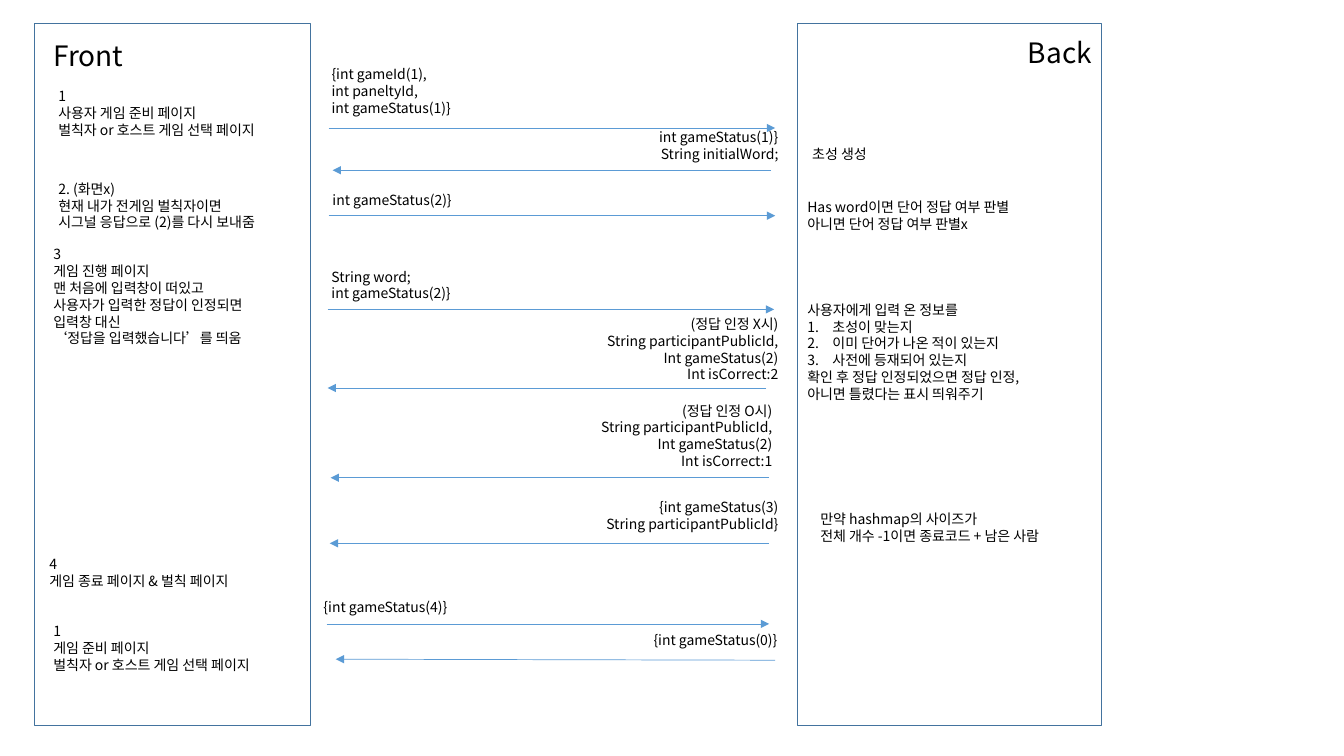
"""Build the slide showing the message flow between Front and Back in a word game."""
from lxml import etree
from pptx import Presentation
from pptx import util as u
from pptx.dml.color import RGBColor
from pptx.enum import shapes, text
from pptx.oxml.ns import qn

FONT = "Noto Sans CJK KR"
LEFT, RIGHT = text.PP_ALIGN.LEFT, text.PP_ALIGN.RIGHT

deck = Presentation()
deck.slide_width, deck.slide_height = u.Inches(13.33), u.Inches(7.5)
slide = deck.slides.add_slide(deck.slide_layouts[6])


def across(percent):
    """Length as a percentage of the slide width."""
    return round(deck.slide_width * percent / 100)


def down(percent):
    """Length as a percentage of the slide height."""
    return round(deck.slide_height * percent / 100)


lanes = [(2.55, 20.55), (59.33, 22.65)]
for left, width in lanes:
    lane = slide.shapes.add_shape(
        shapes.MSO_SHAPE.RECTANGLE, across(left), down(3.07), across(width), down(92.93))
    lane.shadow.inherit = False
    lane.fill.background()
    lane.line.color.rgb = RGBColor.from_string("43739E")
    lane.line.width = u.Pt(1)

titles = [
    (3.23, 4.4, 15.83, ["Front"]),
    (75.75, 4, 9.6, ["Back"]),
]
front_steps = [
    (3.6, 10.93, 31.28, ["1", "사용자 게임 준비 페이지", "벌칙자 or 호스트 게임 선택 페이지"]),
    (3.6, 23.2, 31.28, ["2. (화면x)", "현재 내가 전게임 벌칙자이면",
                        "시그널 응답으로 (2)를 다시 보내줌"]),
    (3.23, 31.87, 31.28, ["3", "게임 진행 페이지", "맨 처음에 입력창이 떠있고",
                          "사용자가 입력한 정답이 인정되면", "입력창 대신",
                          "‘정답을 입력했습니다’를 띄움"]),
    (2.93, 72.8, 31.28, ["4", "게임 종료 페이지 & 벌칙 페이지"]),
    (3.23, 81.73, 31.28, ["1", "게임 준비 페이지", "벌칙자 or 호스트 게임 선택 페이지"]),
]
requests = [
    (23.93, 8, 31.28, ["{int gameId(1),", "int paneltyId,", "int gameStatus(1)}"]),
    (24, 24.67, 31.28, ["int gameStatus(2)}"]),
    (23.93, 34.8, 24.45, ["String word;", "int gameStatus(2)}"]),
    (23.33, 78.53, 11.55, ["{int gameStatus(4)}"]),
]
responses = [
    (34.2, 16.4, 24.45, ["int gameStatus(1)}", "String initialWord;"]),
    (34.2, 41.07, 24.45, ["(정답 인정 X시)", "String participantPublicId,",
                          "Int gameStatus(2)", "Int isCorrect:2"]),
    (33.75, 52.53, 24.45, ["(정답 인정 O시)", "String participantPublicId,",
                           "Int gameStatus(2)", "Int isCorrect:1"]),
    (34.2, 65.33, 24.45, ["{int gameStatus(3)", "String participantPublicId}"]),
    (34.13, 82.93, 24.45, ["{int gameStatus(0)}"]),
]
checks = ["초성이 맞는지", "이미 단어가 나온 적이 있는지", "사전에 등재되어 있는지"]
back_steps = [
    (59.7, 18.53, 18.75, ["초성 생성"]),
    (59.33, 25.6, 18.75, ["Has word이면 단어 정답 여부 판별", "아니면 단어 정답 여부 판별x"]),
    (59.33, 39.2, 18.75, ["사용자에게 입력 온 정보를", *checks,
                          "확인 후 정답 인정되었으면 정답 인정, 아니면 틀렸다는 표시 띄워주기"]),
    (60.3, 66.93, 20.85, ["만약 hashmap의 사이즈가", "전체 개수 -1이면 종료코드 + 남은 사람"]),
]

groups = [(titles, 20, LEFT), (front_steps, 10, LEFT), (requests, 10, LEFT),
          (responses, 10, RIGHT), (back_steps, 10, LEFT)]
for notes, size, align in groups:
    for left, top, width, lines in notes:
        height = 1.33 + 0.224 * size * len(lines)
        note = slide.shapes.add_textbox(across(left), down(top), across(width), down(height))
        frame = note.text_frame
        frame.word_wrap = True
        frame.auto_size = text.MSO_AUTO_SIZE.SHAPE_TO_FIT_TEXT
        for index, line in enumerate(lines):
            paragraph = frame.paragraphs[0] if index == 0 else frame.add_paragraph()
            paragraph.alignment = align
            run = paragraph.add_run()
            run.text = line
            run.font.size = u.Pt(size)
            run.font.name = FONT
            run.font.color.rgb = RGBColor.from_string("000000")
            etree.SubElement(run.font._element, qn("a:ea"), typeface=FONT)
            if line in checks:
                numbering = paragraph._p.get_or_add_pPr()
                numbering.set("marL", str(u.Inches(0.25)))
                numbering.set("indent", str(-u.Inches(0.25)))
                etree.SubElement(numbering, qn("a:buAutoNum"), type="arabicPeriod")

arrows = [
    (24.45, 57.68, 16.93, 16.93),
    (57.38, 24.75, 22.53, 22.53),
    (24.45, 57.68, 28.53, 28.53),
    (24.38, 57.6, 40.93, 40.93),
    (57, 24.38, 51.33, 51.33),
    (57.23, 24.6, 63.2, 63.2),
    (57.23, 24.53, 71.87, 71.87),
    (24.3, 57.23, 82.53, 82.53),
    (57.68, 24.98, 87.33, 87.2),
]
for start, end, start_row, end_row in arrows:
    arrow = slide.shapes.add_connector(
        shapes.MSO_CONNECTOR.STRAIGHT,
        across(start), down(start_row), across(end), down(end_row))
    arrow.line.color.rgb = RGBColor.from_string("5B9BD5")
    arrow.line.width = u.Pt(0.5)
    etree.SubElement(arrow.line._get_or_add_ln(), qn("a:tailEnd"), type="triangle")
    etree.SubElement(arrow._element.spPr, qn("a:effectLst"))

deck.save("out.pptx")
